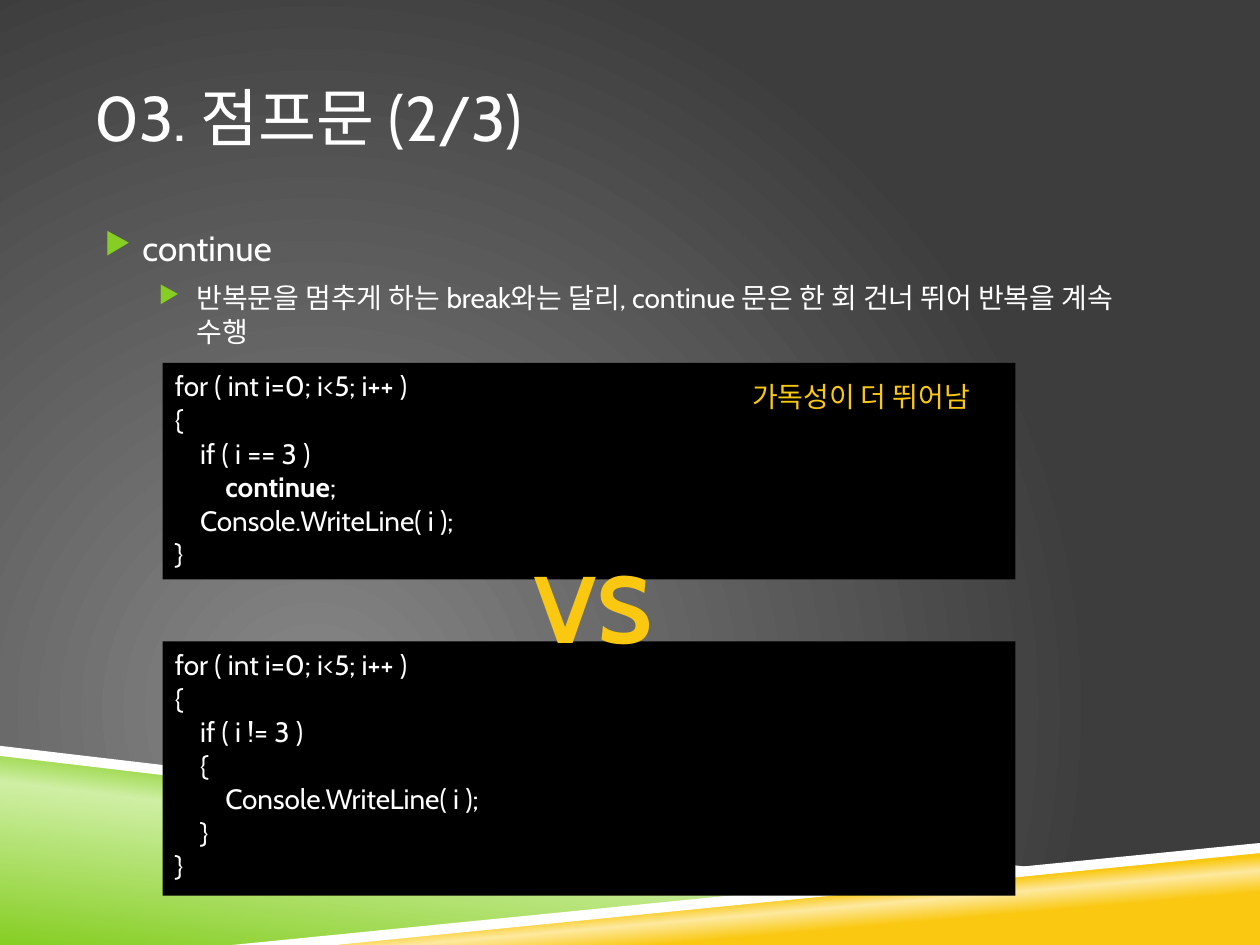
from lxml.etree import SubElement as sub
from pptx import Presentation
from pptx.dml.color import RGBColor
from pptx.enum.shapes import MSO_SHAPE as SHAPE
from pptx.enum.text import MSO_ANCHOR as ANCHOR, PP_ALIGN as ALIGN
from pptx.oxml import parse_xml
from pptx.oxml.ns import nsdecls, qn
from pptx.util import Inches, Pt

WIDE, HIGH = Inches(10), Inches(7.5)
WHITE, BLACK, GREEN, GOLD = "FFFFFF", "000000", "86CE24", "FAC810"


def color(code):
    """Turn a hex string into a colour."""
    return RGBColor.from_string(code)


def point(x, y):
    """Turn percent shares of the slide into lengths."""
    return int(WIDE * x / 100), int(HIGH * y / 100)


def area(x, y, w, h):
    """Turn a box in percent of the slide into lengths."""
    return point(x, y) + point(w, h)


def write(para, text, size=16, tint=WHITE, bold=False, align=ALIGN.LEFT):
    """Add a run of text with its format to a paragraph."""
    para.alignment = align
    run = para.add_run()
    run.text = text
    font = run.font
    font.name, font.size, font.bold = "Cabin", Pt(size), bold
    font.color.rgb = color(tint)


def indent(para, left, hang=0):
    """Set the left margin and hanging indent in inches."""
    props = para._p.get_or_add_pPr()
    props.set("marL", str(Inches(left)))
    props.set("indent", str(-Inches(hang)))
    return props


def blend(owner, stops, way):
    """Replace the solid fill of an element by a gradient."""
    marks = "".join(
        f'<a:gs pos="{pos * 1000}"><a:srgbClr val="{code}"/></a:gs>'
        for pos, code in stops
    )
    old = owner.find(".//" + qn("a:solidFill"))
    new = parse_xml(
        f'<a:gradFill {nsdecls("a")} rotWithShape="1">'
        f"<a:gsLst>{marks}</a:gsLst>{way}</a:gradFill>"
    )
    old.getparent().replace(old, new)


def paint(shape, tint):
    """Give a shape a plain fill without line or shadow."""
    shape.shadow.inherit = False
    shape.fill.solid()
    shape.fill.fore_color.rgb = color(tint)
    shape.line.fill.background()


def band(slide, spots, tint, stops=None, angle=0):
    """Draw one slanted band through the given spots."""
    first, *rest = [point(*spot) for spot in spots]
    form = slide.shapes.build_freeform(*first)
    form.add_line_segments(rest, close=True)
    shape = form.convert_to_shape()
    paint(shape, tint)
    if stops:
        blend(shape._element, stops, f'<a:lin ang="{angle * 60000}" scaled="0"/>')


def scene(slide):
    """Draw the backdrop and its corner bands."""
    slide.background.fill.solid()
    focus = '<a:fillToRect l="50000" t="100000" r="100000" b="50000"/>'
    blend(slide._element, [(0, "878787"), (100, "3D3D3D")],
          f'<a:path path="circle">{focus}</a:path>')
    band(slide, [(0, 79.6), (79.2, 92.27), (20, 100), (0, 100)], GREEN,
         [(0, GREEN), (52, "CFEFA4"), (66, GREEN)], 277)
    band(slide, [(19.8, 100), (100, 89.6), (100, 100)], GOLD,
         [(28, GOLD), (40, "FDE99F"), (48, GOLD)], 265)
    band(slide, [(0, 78.93), (0, 80), (79, 92.4), (83.2, 92)], WHITE)
    band(slide, [(100, 89.2), (18.4, 100), (26.6, 100), (100, 90.27)], WHITE)


def head(slide, box, text):
    """Place and fill the title."""
    title = slide.shapes.title
    title.left, title.top, title.width, title.height = area(*box)
    frame = title.text_frame
    frame.margin_left = frame.margin_right = 0
    frame.vertical_anchor = ANCHOR.MIDDLE
    write(frame.paragraphs[0], text, size=36)


def points(slide, box, items):
    """Write the bullet list from (left, size, text) items."""
    frame = slide.shapes.add_textbox(*area(*box)).text_frame
    frame.word_wrap = True
    frame.margin_left = frame.margin_right = 0
    for row, (left, size, text) in enumerate(items):
        para = frame.add_paragraph() if row else frame.paragraphs[0]
        para.space_before = Pt(7)
        props = indent(para, left, 0.3)
        sub(sub(props, qn("a:buClr")), qn("a:srgbClr")).set("val", GREEN)
        sub(props, qn("a:buSzPct")).set("val", "85000")
        sub(props, qn("a:buChar")).set("char", "▶")
        write(para, text, size=size)


def code(slide, box, lines, strong=""):
    """Write (level, text) code lines on a black panel."""
    panel = slide.shapes.add_shape(SHAPE.RECTANGLE, *area(*box))
    paint(panel, BLACK)
    frame = panel.text_frame
    frame.word_wrap = True
    frame.vertical_anchor = ANCHOR.TOP
    for row, (level, text) in enumerate(lines):
        para = frame.add_paragraph() if row else frame.paragraphs[0]
        indent(para, level * 0.2)
        if strong and text.startswith(strong):
            write(para, strong, bold=True)
            text = text.removeprefix(strong)
        write(para, text)


def label(slide, box, text, **form):
    """Write a gold label on one line."""
    frame = slide.shapes.add_textbox(*area(*box)).text_frame
    frame.word_wrap = False
    write(frame.paragraphs[0], text, tint=GOLD, **form)


def main():
    """Build the slide and save it."""
    deck = Presentation()
    deck.slide_width, deck.slide_height = WIDE, HIGH
    slide = deck.slides.add_slide(deck.slide_layouts[5])
    scene(slide)
    head(slide, (7.5, 4, 85, 16.67), "03. 점프문 (2/3)")
    points(slide, (7.5, 23.33, 85, 54.4), [
        (0.38, 20, "continue"),
        (0.81, 16, "반복문을 멈추게 하는 break와는 달리, "
                   "continue 문은 한 회 건너 뛰어 반복을 계속 수행"),
    ])
    start = [(0, "for ( int i=0; i<5; i++ )"), (0, "{")]
    show = "Console.WriteLine( i );"
    code(slide, (12.9, 38.4, 67.7, 22.93), start + [
        (1, "if ( i == 3 )"), (2, "continue;"), (1, show), (0, "}"),
    ], strong="continue")
    code(slide, (12.9, 67.87, 67.7, 26.93), start + [
        (1, "if ( i != 3 )"), (1, "{"), (2, show), (1, "}"), (0, "}"),
    ])
    label(slide, (41.1, 57.47, 12, 13.47), "VS",
          size=54, bold=True, align=ALIGN.CENTER)
    label(slide, (58.7, 39.47, 21.2, 4.93), "가독성이 더 뛰어남")
    deck.save("out.pptx")


if __name__ == "__main__":
    main()
